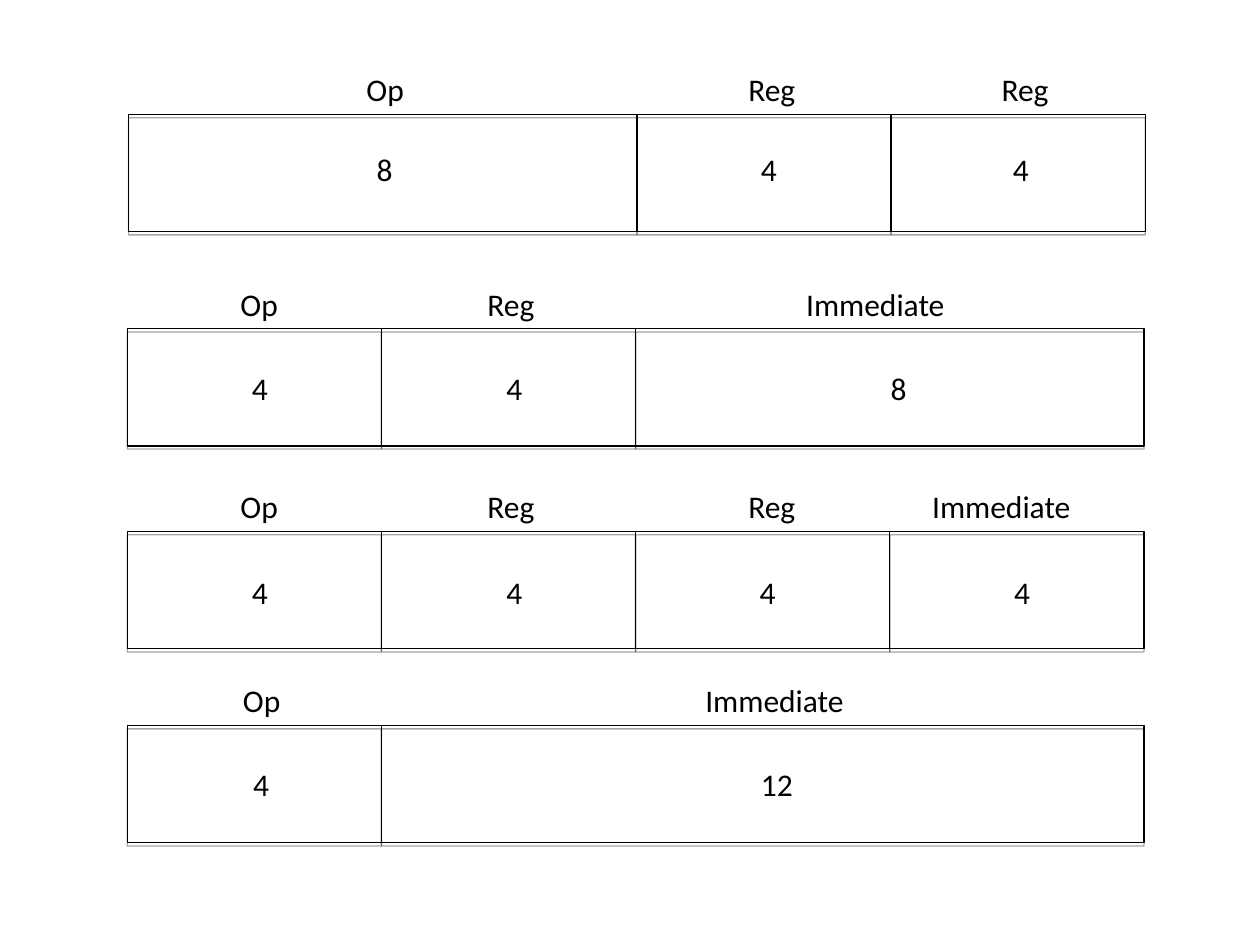
from lxml.etree import SubElement as Sub
from pptx import Presentation
from pptx.dml.color import RGBColor
from pptx.enum.shapes import MSO_SHAPE as Shape
from pptx.enum.text import MSO_AUTO_SIZE as Fit
from pptx.oxml.ns import qn
from pptx.util import Inches, Pt

BLACK = RGBColor(0, 0, 0)
BIT = 8.07 / 16
HIGH = 0.93
WIDE = {"Op": 0.51, "Reg": 0.58, "Immediate": 1.6}

ROWS = [
    (1.02, 0.91, 1.14, [("Op", 2.81, 8, 2.89), ("Reg", 5.84, 4, 5.94),
                        ("Reg", 7.85, 4, 7.94)]),
    (1.01, 2.61, 2.88, [("Op", 1.81, 4, 1.9), ("Reg", 3.77, 4, 3.92),
                        ("Immediate", 6.3, 8, 6.97)]),
    (1.01, 4.22, 4.5, [("Op", 1.81, 4, 1.9), ("Reg", 3.77, 4, 3.92),
                       ("Reg", 5.84, 4, 5.93), ("Immediate", 7.3, 4, 7.95)]),
    (1.01, 5.76, 6.02, [("Op", 1.83, 4, 1.91), ("Immediate", 5.5, 12, 5.94)]),
]


def add_box(slide, left, top, wide):
    box = slide.shapes.add_shape(Shape.RECTANGLE, Inches(left), Inches(top),
                                 Inches(wide), Inches(HIGH))
    box.fill.background()
    box.line.color.rgb = BLACK
    box.line.width = Pt(0.75)
    box.shadow.inherit = False
    effects = box._element.spPr.find(qn("a:effectLst"))
    shade = Sub(effects, qn("a:outerShdw"), blurRad="0", dist=str(Pt(1.8)),
                dir="5400000", rotWithShape="0")
    color = Sub(shade, qn("a:srgbClr"), val=str(BLACK))
    Sub(color, qn("a:alpha"), val="35000")


def add_text(slide, text, left, top, wide, wrap=False):
    box = slide.shapes.add_textbox(Inches(left), Inches(top),
                                   Inches(wide), Inches(0.4))
    frame = box.text_frame
    frame.word_wrap = wrap
    frame.auto_size = Fit.SHAPE_TO_FIT_TEXT
    frame.text = text
    font = frame.paragraphs[0].font
    font.name = "Calibri"
    font.size = Pt(18)
    font.color.rgb = BLACK


def main():
    deck = Presentation()
    deck.slide_width, deck.slide_height = Inches(10), Inches(7.5)
    slide = deck.slides.add_slide(deck.slide_layouts[6])
    for left, top, mid, fields in ROWS:
        for label, label_x, bits, bits_x in fields:
            add_box(slide, left, top, bits * BIT)
            add_text(slide, label, label_x, top - 0.4, WIDE[label],
                     label == "Immediate")
            add_text(slide, str(bits), bits_x, mid, 0.45 if bits > 9 else 0.32)
            left += bits * BIT
    deck.save("out.pptx")


if __name__ == "__main__":
    main()
